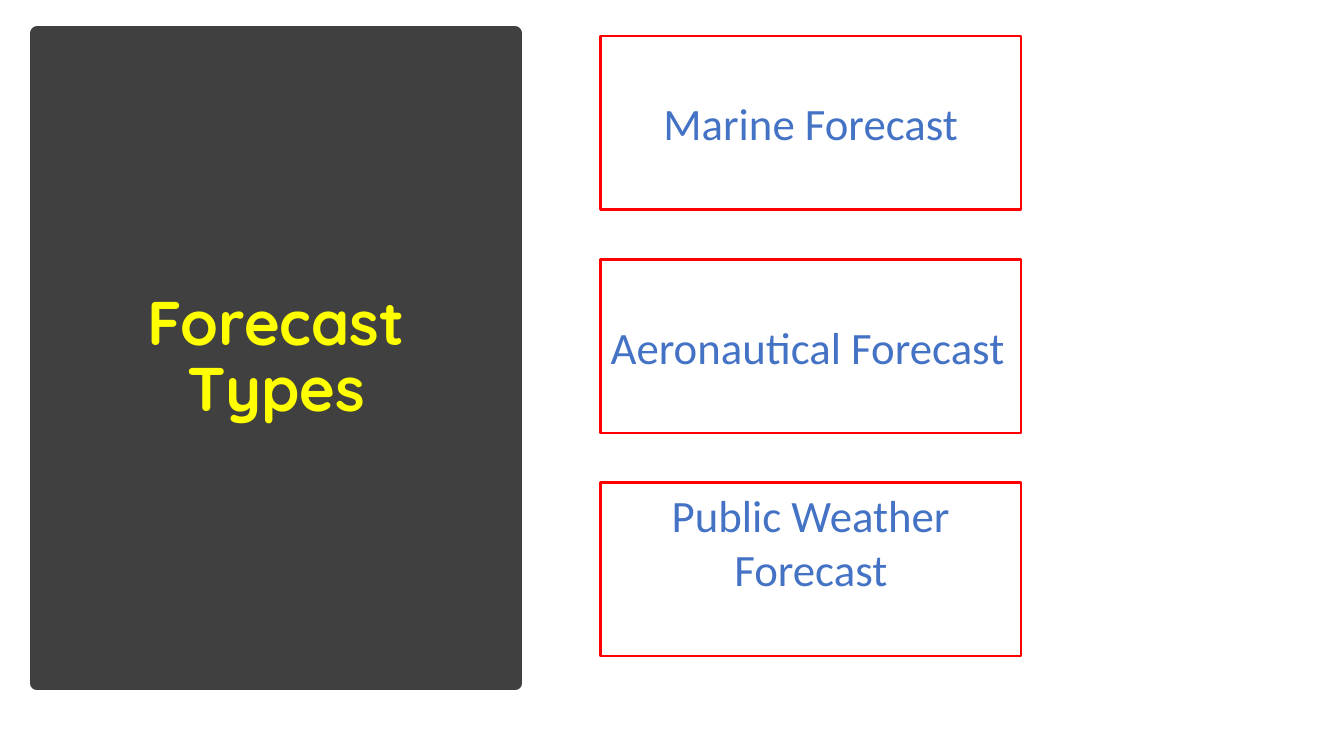
import pptx
import pptx.util
import pptx.dml.color
import pptx.enum.shapes
import pptx.enum.text

Pt = pptx.util.Pt
Align = pptx.enum.text.PP_ALIGN
Anchor = pptx.enum.text.MSO_ANCHOR
Fit = pptx.enum.text.MSO_AUTO_SIZE

CARDS = [
    ("Marine Forecast", Align.CENTER, Anchor.MIDDLE),
    ("Aeronautical Forecast", Align.LEFT, Anchor.MIDDLE),
    ("Public Weather Forecast", Align.CENTER, Anchor.TOP),
]


def tint(code):
    return pptx.dml.color.RGBColor.from_string(code)


def add_rect(slide, left, top, width, height, line, weight):
    kind = pptx.enum.shapes.MSO_SHAPE.RECTANGLE
    rect = slide.shapes.add_shape(kind, Pt(left), Pt(top), Pt(width), Pt(height))
    rect.shadow.inherit = False
    rect.fill.background()
    rect.line.color.rgb = tint(line)
    rect.line.width = Pt(weight)
    return rect


def set_text(frame, text, align, anchor, face, size, color):
    frame.text = text
    frame.word_wrap = True
    frame.auto_size = Fit.NONE
    frame.vertical_anchor = anchor
    para = frame.paragraphs[0]
    para.alignment = align
    font = para.runs[0].font
    font.name = face
    font.size = Pt(size)
    font.color.rgb = tint(color)
    return para


def add_panel(slide, left, top, width, height):
    """Draw the dark panel behind the slide title."""
    panel = add_rect(slide, left, top, width, height, "404040", 10)
    panel.fill.solid()
    panel.fill.fore_color.rgb = tint("404040")
    title = slide.shapes.title
    title._element.addprevious(panel._element)
    pad_x, pad_y = 10, 25
    title.left, title.top = Pt(left + pad_x), Pt(top + pad_y)
    title.width, title.height = Pt(width - 2 * pad_x), Pt(height - 2 * pad_y)
    para = set_text(title.text_frame, "Forecast Types", Align.CENTER,
                    Anchor.MIDDLE, "Quicksand", 44, "FFFF00")
    para.line_spacing = 0.9
    para.runs[0].font.bold = True


def add_cards(slide, left, top, width, height, gap):
    """Stack the forecast cards evenly in the given box."""
    tall = (height - gap * (len(CARDS) - 1)) / len(CARDS)
    for row, (text, align, anchor) in enumerate(CARDS):
        y = top + row * (tall + gap)
        card = add_rect(slide, left, y, width, tall, "FF0000", 1.75)
        set_text(card.text_frame, text, align, anchor, "Calibri", 32, "4472C4")


def main():
    deck = pptx.Presentation()
    deck.slide_width, deck.slide_height = Pt(960), Pt(540)
    slide = deck.slides.add_slide(deck.slide_layouts.get_by_name("Title Only"))
    add_panel(slide, 26.6, 23.8, 341.3, 464.4)
    add_cards(slide, 429.1, 25.9, 300.2, 442.8, 35.6)
    deck.save("out.pptx")


if __name__ == "__main__":
    main()
